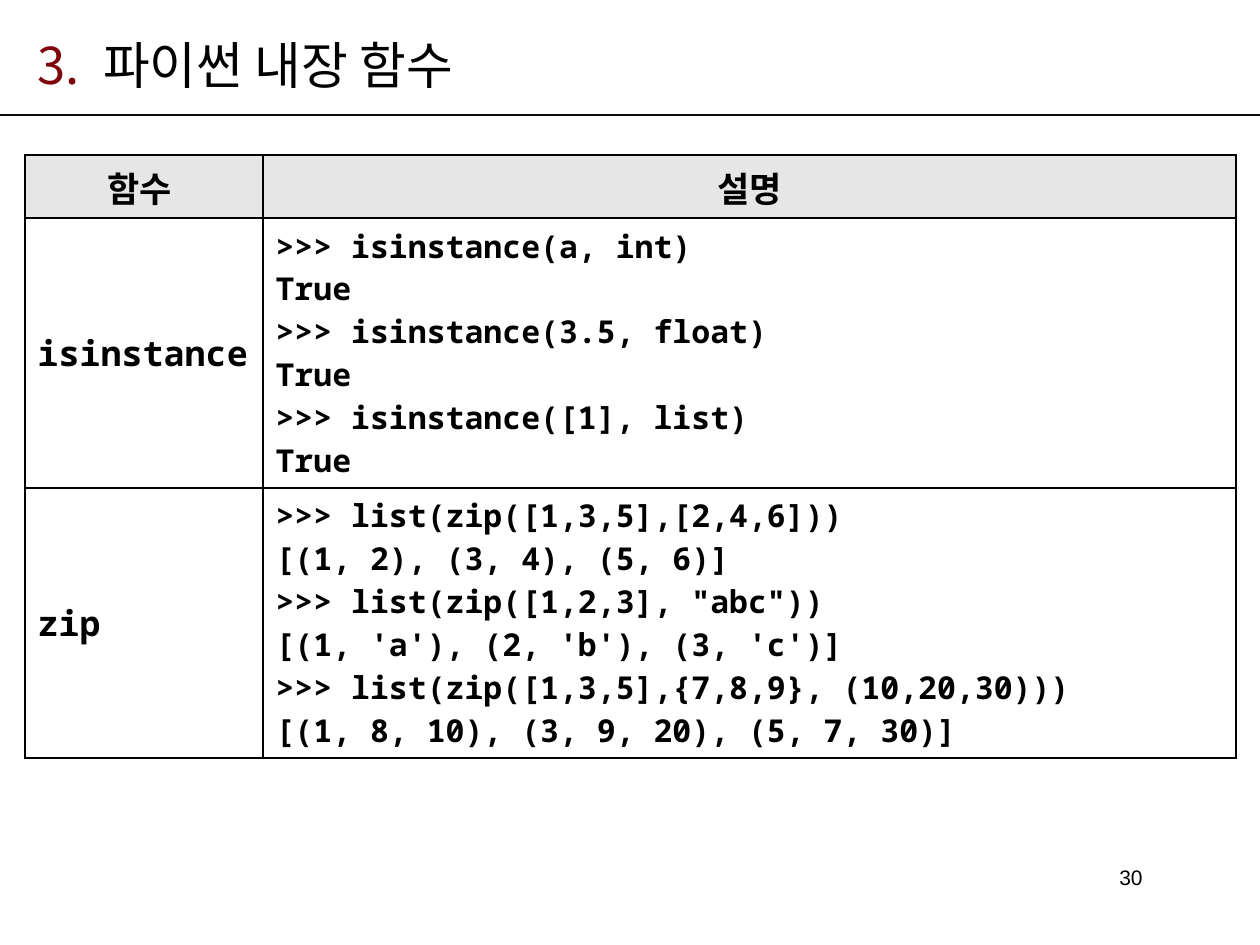
from lxml import etree
from pptx import Presentation
from pptx import util as u
from pptx.dml.color import RGBColor
from pptx.enum import shapes, text
from pptx.oxml import ns

BLACK = RGBColor(0x00, 0x00, 0x00)
RULE = RGBColor(0x0D, 0x0D, 0x0D)
MAROON = RGBColor(0x7E, 0x04, 0x0B)
HEADER_GRAY = RGBColor(0xE6, 0xE6, 0xE6)

KOREAN, MONO, ARIAL = "Noto Sans CJK KR", "Noto Sans Mono", "Arial"
LEFT, CENTER, RIGHT = text.PP_ALIGN.LEFT, text.PP_ALIGN.CENTER, text.PP_ALIGN.RIGHT

HEADERS = ["함수 ", "설명"]
EXAMPLES = {
    "isinstance": [
        ">>> isinstance(a, int)",
        "True",
        ">>> isinstance(3.5, float)",
        "True",
        ">>> isinstance([1], list)",
        "True",
    ],
    "zip": [
        ">>> list(zip([1,3,5],[2,4,6]))",
        "[(1, 2), (3, 4), (5, 6)]",
        '>>> list(zip([1,2,3], "abc"))',
        "[(1, 'a'), (2, 'b'), (3, 'c')]",
        ">>> list(zip([1,3,5],{7,8,9}, (10,20,30)))",
        "[(1, 8, 10), (3, 9, 20), (5, 7, 30)]",
    ],
}


def px(length):
    return u.Emu(round(length * 914400 / 126))


class SlideBuilder:
    """Draws lines, text boxes and tables on one slide in a shared style."""

    def __init__(self, page):
        self.page = page

    def line(self, left, top, right, bottom, color, width):
        rule = self.page.shapes.add_connector(
            shapes.MSO_CONNECTOR.STRAIGHT, px(left), px(top), px(right), px(bottom))
        rule.line.color.rgb = color
        rule.line.width = u.Pt(width)
        etree.SubElement(rule._element.spPr, ns.qn("a:effectLst"))

    def span(self, para, words, font, size, color=BLACK, bold=False, tracking=0):
        span = para.add_run()
        span.text = words
        span.font.name = font
        span.font.size = u.Pt(size)
        span.font.bold = bold
        span.font.color.rgb = color
        properties = span.font._element
        etree.SubElement(properties, ns.qn("a:ea"), typeface=font)
        if tracking:
            properties.set("spc", str(tracking))

    def box(self, left, top, width, height, align=LEFT):
        box = self.page.shapes.add_textbox(px(left), px(top), px(width), px(height))
        frame = box.text_frame
        frame.word_wrap = True
        frame.vertical_anchor = text.MSO_ANCHOR.MIDDLE
        para = frame.paragraphs[0]
        para.alignment = align
        return para

    def table(self, left, top, columns, rows):
        frame = self.page.shapes.add_table(
            len(rows), len(columns), px(left), px(top), px(sum(columns)), px(sum(rows)))
        table = frame.table
        table.first_row = table.horz_banding = False
        for column, width in zip(table.columns, columns):
            column.width = px(width)
        for row, height in zip(table.rows, rows):
            row.height = px(height)
        return table

    def cell(self, cell, lines, font, size, align=LEFT, fill=None):
        cell.vertical_anchor = text.MSO_ANCHOR.MIDDLE
        self.borders(cell)
        if fill is None:
            cell.fill.background()
        else:
            cell.fill.solid()
            cell.fill.fore_color.rgb = fill
        frame = cell.text_frame
        for index, words in enumerate(lines):
            para = frame.add_paragraph() if index else frame.paragraphs[0]
            para.alignment = align
            self.span(para, words, font, size, bold=True)

    def borders(self, cell):
        properties = cell._tc.get_or_add_tcPr()
        for side in ("lnL", "lnR", "lnT", "lnB"):
            edge = etree.SubElement(properties, ns.qn(f"a:{side}"), w=str(u.Pt(1)))
            paint = etree.SubElement(edge, ns.qn("a:solidFill"))
            etree.SubElement(paint, ns.qn("a:srgbClr"), val=str(BLACK))


def main():
    deck = Presentation()
    deck.slide_width, deck.slide_height = px(1260), px(945)
    slide = SlideBuilder(deck.slides.add_slide(deck.slide_layouts[6]))

    slide.line(0, 115, 1260, 115, RULE, 1.5)
    title = slide.box(25, 26, 1062, 77)
    slide.span(title, "3.", KOREAN, 29, MAROON)
    slide.span(title, " ", KOREAN, 29, MAROON, tracking=690)
    slide.span(title, "파이썬 내장 함수", KOREAN, 29)
    number = slide.box(868, 859, 287, 36, RIGHT)
    slide.span(number, "30", ARIAL, 12)

    table = slide.table(25, 155, [238, 973], [63, 270, 270])
    for column, heading in enumerate(HEADERS):
        slide.cell(table.cell(0, column), [heading], KOREAN, 20, CENTER, HEADER_GRAY)
    for row, (name, code) in enumerate(EXAMPLES.items(), start=1):
        slide.cell(table.cell(row, 0), [name], MONO, 20)
        slide.cell(table.cell(row, 1), code, MONO, 18)

    deck.save("out.pptx")


if __name__ == "__main__":
    main()
